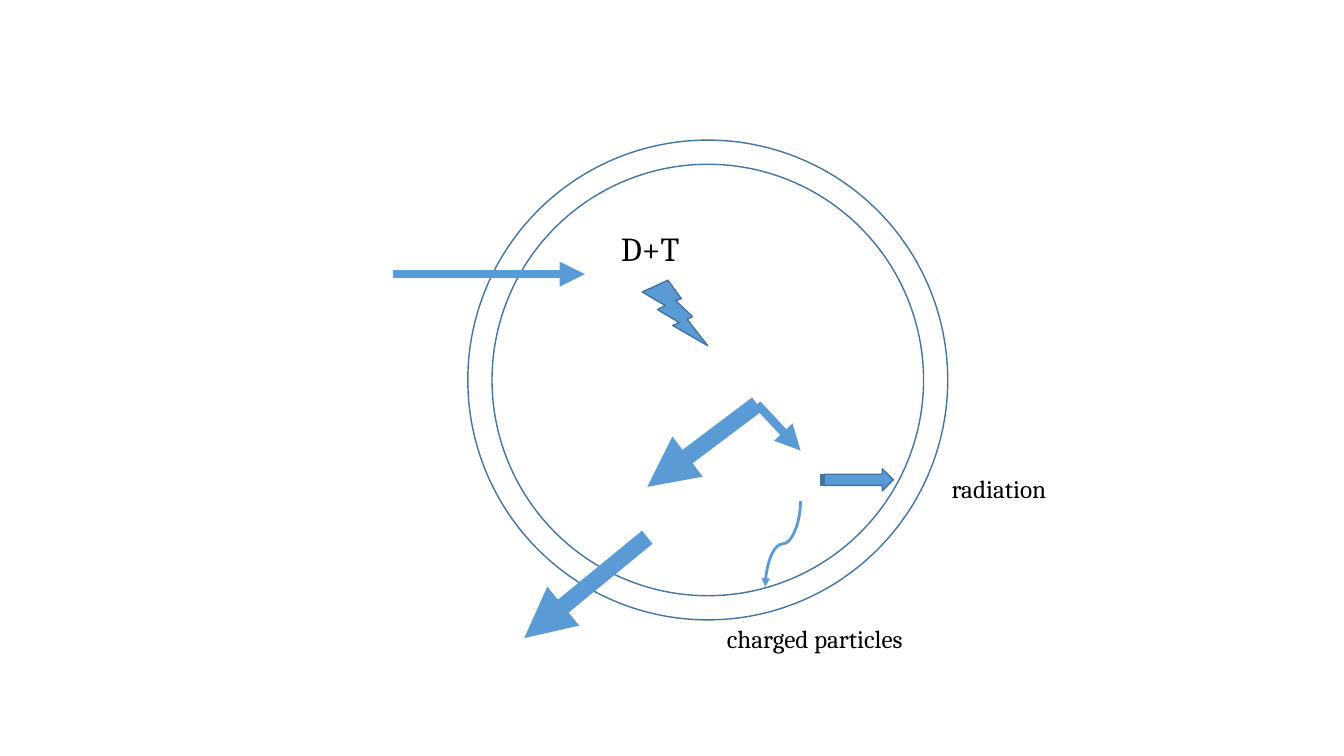
"""Build a slide of a D+T capsule with its outgoing radiation and particles."""
from lxml import etree
from pptx import Presentation
from pptx.dml.color import RGBColor
from pptx.enum.shapes import MSO_CONNECTOR as Link, MSO_SHAPE as Preset
from pptx.enum.text import MSO_AUTO_SIZE as AutoSize
from pptx.oxml.ns import qn
from pptx.util import Inches, Pt

COLORS = {"blue": "5B9BD5", "outline": "43739E", "text": "000000"}
FONT = "Cambria"
CENTER = (7.02, 3.77)
RADII = [2.38, 2.14]
SOLIDS = [
    (Preset.LIGHTNING_BOLT, (6.37, 2.78, 0.65, 0.65)),
    (Preset.STRIPED_RIGHT_ARROW, (8.14, 4.65, 0.72, 0.22)),
]
LABELS = [
    ("D+T", (6.06, 2.21, 0.88, 0.5), 24),
    ("radiation", (9.34, 4.65, 1.19, 0.4), 18),
    ("charged particles", (7.11, 6.13, 2.05, 0.4), 18),
]
BURST = (7.51, 4.01)
ARROWS = [
    (BURST, (6.42, 4.83), 12),
    (BURST, (7.94, 4.47), 6),
    ((6.42, 5.33), (5.2, 6.33), 12),
    ((3.9, 2.72), (5.8, 2.72), 6),
]
PARTICLE_TRACK = ((7.94, 4.97), (7.59, 5.82), 2)


def color(name):
    return RGBColor.from_string(COLORS[name])


def add_solid(page, preset, place, fill=None):
    shape = page.shapes.add_shape(preset, *map(Inches, place))
    shape.shadow.inherit = False
    if fill:
        shape.fill.solid()
        shape.fill.fore_color.rgb = color(fill)
    else:
        shape.fill.background()
    shape.line.color.rgb = color("outline")
    shape.line.width = Pt(1)


def add_label(page, text, place, size, font=FONT, ink="text"):
    box = page.shapes.add_textbox(*map(Inches, place))
    frame = box.text_frame
    frame.word_wrap = False
    frame.auto_size = AutoSize.SHAPE_TO_FIT_TEXT
    span = frame.paragraphs[0].add_run()
    span.text = text
    span.font.name = font
    span.font.size = Pt(size)
    span.font.color.rgb = color(ink)


def add_arrow(page, start, end, width, kind=Link.STRAIGHT):
    arrow = page.shapes.add_connector(kind, *map(Inches, start + end))
    arrow.line.color.rgb = color("blue")
    arrow.line.width = Pt(width)
    etree.SubElement(arrow.line._get_or_add_ln(), qn("a:tailEnd"), type="triangle")
    etree.SubElement(arrow._element.spPr, qn("a:effectLst"))
    return arrow


def add_falling_curve(page, start, end, width):
    (x1, y1), (x2, y2) = start, end
    middle_x, middle_y = (x1 + x2) / 2, (y1 + y2) / 2
    half_run, half_rise = (y2 - y1) / 2, (x1 - x2) / 2
    curve = add_arrow(page, (middle_x - half_run, middle_y - half_rise),
                      (middle_x + half_run, middle_y + half_rise), width, Link.CURVE)
    curve._element.spPr.find(qn("a:xfrm")).set("rot", str(90 * 60000))


def main():
    deck = Presentation()
    deck.slide_width, deck.slide_height = Inches(13.33), Inches(7.5)
    page = deck.slides.add_slide(deck.slide_layouts[6])
    for radius in RADII:
        corner = tuple(middle - radius for middle in CENTER)
        add_solid(page, Preset.OVAL, corner + (2 * radius, 2 * radius))
    for preset, place in SOLIDS:
        add_solid(page, preset, place, fill="blue")
    for start, end, width in ARROWS:
        add_arrow(page, start, end, width)
    add_falling_curve(page, *PARTICLE_TRACK)
    for text, place, size in LABELS:
        add_label(page, text, place, size)
    deck.save("out.pptx")


if __name__ == "__main__":
    main()
